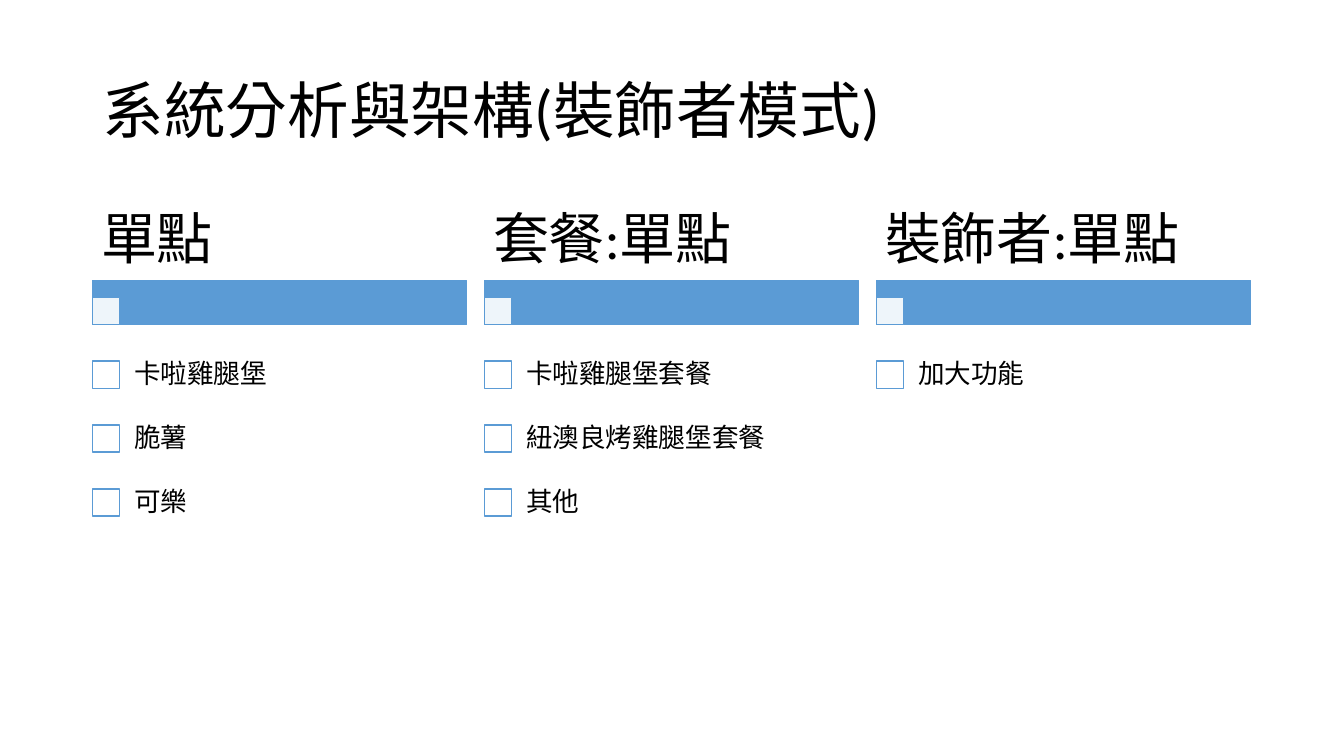
"""Build the decorator pattern slide: three headed columns of checkbox items."""
from dataclasses import dataclass

from lxml.etree import SubElement
from pptx import Presentation
from pptx.dml.color import RGBColor
from pptx.enum.lang import MSO_LANGUAGE_ID as Language
from pptx.enum.shapes import MSO_SHAPE as Shape
from pptx.enum.text import MSO_ANCHOR as Anchor, MSO_AUTO_SIZE as AutoSize, PP_ALIGN as Align
from pptx.oxml.ns import qn
from pptx.util import Pt

TITLE = "系統分析與架構(裝飾者模式)"
COLUMNS = [
    ("單點", ["卡啦雞腿堡", "脆薯", "可樂"]),
    ("套餐:單點", ["卡啦雞腿堡套餐", "紐澳良烤雞腿堡套餐", "其他"]),
    ("裝飾者:單點", ["加大功能"]),
]


@dataclass(frozen=True)
class Theme:
    font: str = "Calibri"
    text: RGBColor = RGBColor(0, 0, 0)
    accent: RGBColor = RGBColor(0x5B, 0x9B, 0xD5)
    paper: RGBColor = RGBColor(255, 255, 255)
    title_size: float = 44
    heading_size: float = 40
    item_size: float = 19
    line_width: float = 1


THEME = Theme()
LEFT, COLUMN_WIDTH, COLUMN_PITCH = 66.2, 267.2, 280
HEADING_TOP, HEADING_HEIGHT = 144, 56.2
BAR_TOP, BAR_HEIGHT = 200.2, 31.7
BOX_SIZE = 19.4
ITEM_TOP, ITEM_PITCH = 244.8, 45.7
ITEM_INDENT = 19


def write_text(holder, text, size, margins):
    frame = holder.text_frame
    frame.word_wrap = True
    frame.auto_size = AutoSize.NONE
    frame.vertical_anchor = Anchor.MIDDLE
    across, down = margins
    frame.margin_left = frame.margin_right = Pt(across)
    frame.margin_top = frame.margin_bottom = Pt(down)
    para = frame.paragraphs[0]
    para.alignment = Align.LEFT
    para.line_spacing = 0.9
    span = para.add_run()
    span.text = text
    span.font.name = THEME.font
    span.font.size = Pt(size)
    span.font.color.rgb = THEME.text
    span.font.language_id = Language.TRADITIONAL_CHINESE


def add_rectangle(group, left, top, width, height, color, opacity=100):
    box = group.shapes.add_shape(Shape.RECTANGLE, Pt(left), Pt(top), Pt(width), Pt(height))
    box.shadow.inherit = False
    box.fill.solid()
    box.fill.fore_color.rgb = color
    box.line.color.rgb = THEME.accent
    box.line.width = Pt(THEME.line_width)
    if opacity < 100:
        tint = box.fill._xPr.find(qn("a:solidFill"))[0]
        SubElement(tint, qn("a:alpha")).set("val", str(opacity * 1000))


def add_label(group, left, top, width, height, text, size, margins):
    label = group.shapes.add_textbox(Pt(left), Pt(top), Pt(width), Pt(height))
    write_text(label, text, size, margins)


def add_column(group, left, heading, items):
    add_rectangle(group, left, BAR_TOP, COLUMN_WIDTH, BAR_HEIGHT, THEME.accent)
    add_rectangle(group, left, BAR_TOP + BAR_HEIGHT - BOX_SIZE,
                  BOX_SIZE, BOX_SIZE, THEME.paper, opacity=90)
    add_label(group, left, HEADING_TOP, COLUMN_WIDTH, HEADING_HEIGHT,
              heading, THEME.heading_size, (6, 4))
    for row, item in enumerate(items):
        top = ITEM_TOP + row * ITEM_PITCH
        add_rectangle(group, left, top + (ITEM_PITCH - BOX_SIZE) / 2,
                      BOX_SIZE, BOX_SIZE, THEME.paper)
        add_label(group, left + ITEM_INDENT, top, COLUMN_WIDTH - ITEM_INDENT, ITEM_PITCH,
                  item, THEME.item_size, (10.8, 10.8))


def main():
    deck = Presentation()
    deck.slide_width, deck.slide_height = Pt(960), Pt(540)
    page = deck.slides.add_slide(deck.slide_layouts[5])
    title = page.shapes.title
    title.left, title.top = Pt(LEFT), Pt(28.8)
    title.width, title.height = Pt(828), Pt(104.4)
    write_text(title, TITLE, THEME.title_size, (7.2, 3.6))
    group = page.shapes.add_group_shape()
    for index, (heading, items) in enumerate(COLUMNS):
        add_column(group, LEFT + index * COLUMN_PITCH, heading, items)
    deck.save("out.pptx")


if __name__ == "__main__":
    main()
